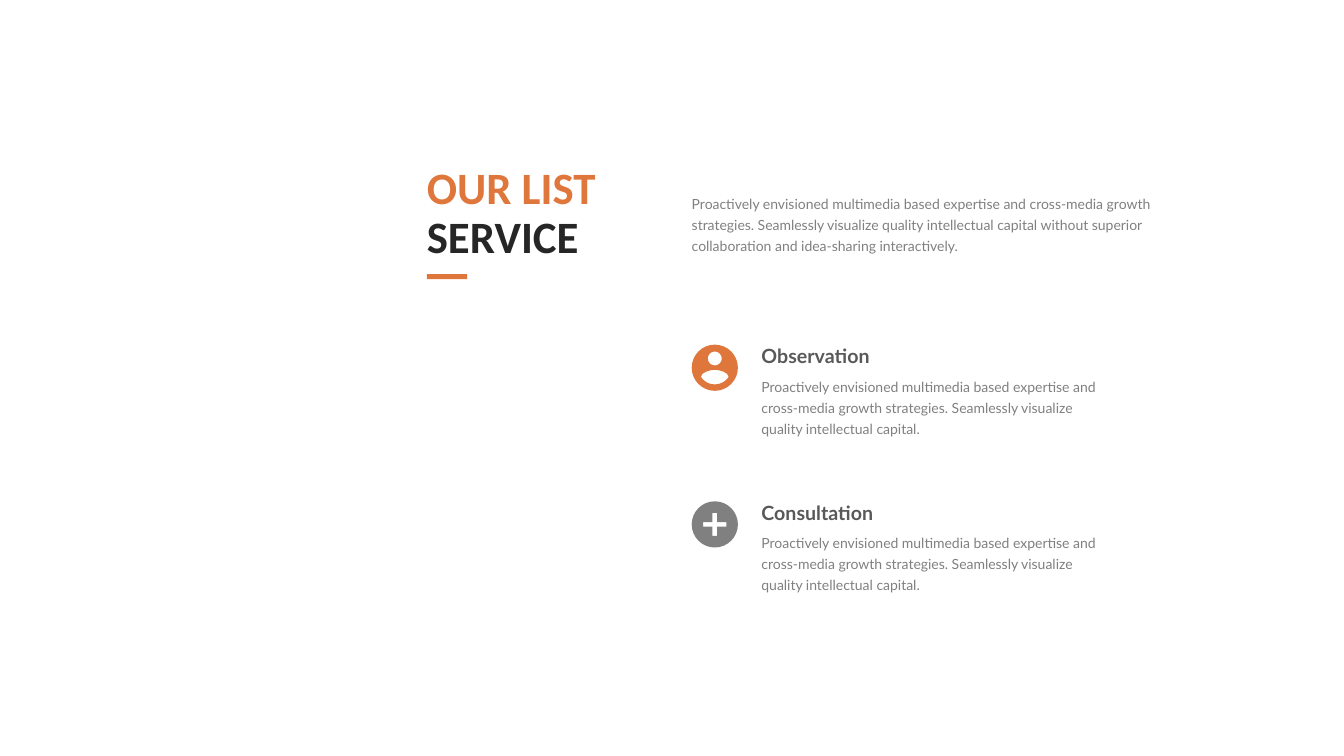
from dataclasses import dataclass

from lxml import etree
from pptx import Presentation
from pptx.dml.color import RGBColor
from pptx.enum.shapes import MSO_SHAPE
from pptx.enum.text import MSO_ANCHOR, MSO_AUTO_SIZE, PP_ALIGN
from pptx.oxml.ns import qn
from pptx.shapes.base import BaseShape
from pptx.shapes.shapetree import GroupShapes, SlideShapes
from pptx.slide import Slide
from pptx.text.text import TextFrame
from pptx.util import Pt

RECTANGLE = MSO_SHAPE.RECTANGLE
TOP, MIDDLE = MSO_ANCHOR.TOP, MSO_ANCHOR.MIDDLE
NO_AUTOFIT = MSO_AUTO_SIZE.NONE
LEFT_ALIGNED = PP_ALIGN.LEFT

Point = tuple[float, float]
Shapes = SlideShapes | GroupShapes


@dataclass(frozen=True)
class Theme:
    accent: RGBColor = RGBColor(0xDF, 0x77, 0x3D)
    dark: RGBColor = RGBColor(0x26, 0x26, 0x26)
    heading: RGBColor = RGBColor(0x59, 0x59, 0x59)
    body: RGBColor = RGBColor(0x80, 0x80, 0x80)
    title_font: str = "Calibri"
    text_font: str = "Lato"
    title_size: float = 32
    heading_size: float = 14
    body_size: float = 10
    title_spacing: float = 35
    body_spacing: float = 15


@dataclass(frozen=True)
class Box:
    left: float
    top: float
    width: float
    height: float


@dataclass(frozen=True)
class Contour:
    points: list[Point]
    curved: bool


@dataclass(frozen=True)
class Service:
    name: str
    description: str
    symbol: list[Contour]
    color: RGBColor


THEME = Theme()
TITLE_LEFT = 304.9
CONTENT_LEFT = 494.1
ICON_RADIUS = 16.5
SERVICE_LEFT = 543.9
SERVICE_WIDTH = 244.8
FIRST_SERVICE_TOP = 246.2
SERVICE_PITCH = 111.9
INTRO = (
    "Proactively envisioned multimedia based expertise and cross-media growth "
    "strategies. Seamlessly visualize quality intellectual capital without superior "
    "collaboration and idea-sharing interactively."
)
DESCRIPTION = (
    "Proactively envisioned multimedia based expertise and cross-media growth "
    "strategies. Seamlessly visualize quality intellectual capital."
)


def quarter_turns(corner: list[Point]) -> list[Point]:
    outline = []
    for _ in range(4):
        outline += corner
        corner = [(-y, x) for x, y in corner]
    return outline


def circle(center_y: float, radius: float) -> Contour:
    handle = 0.55 * radius
    outline = quarter_turns([(radius, 0), (radius, handle), (handle, radius)])
    return Contour([(x, y + center_y) for x, y in [*outline, outline[0]]], True)


def person_symbol() -> list[Contour]:
    right = [(0, 1.5), (3.3, 1.5), (9.9, 3.3), (9.95, 6.6),
             (7.8, 9.8), (4.15, 11.95), (0, 11.95)]
    left = [(-x, y) for x, y in reversed(right[:-1])]
    return [Contour(right + left, True), circle(-6.6, 5)]


def plus_symbol(arm: float = 8.3, half: float = 1.67) -> list[Contour]:
    corner = [(half, -arm), (half, -half), (arm, -half)]
    return [Contour(quarter_turns(corner), False)]


def bend(outline: BaseShape, contours: list[Contour]) -> None:
    starts = list(outline.element.iter(qn("a:moveTo")))
    for start, contour in zip(starts, contours):
        if not contour.curved:
            continue
        steps = list(start.itersiblings())[:len(contour.points) - 1]
        for first in range(0, len(steps), 3):
            curve = etree.Element(qn("a:cubicBezTo"))
            steps[first].addprevious(curve)
            for step in steps[first:first + 3]:
                curve.append(step[0])
                step.getparent().remove(step)


def draw_icon(shapes: Shapes, top: float, service: Service) -> None:
    center_x, center_y = CONTENT_LEFT + ICON_RADIUS, top + ICON_RADIUS
    contours = [*service.symbol, circle(0, ICON_RADIUS)]
    builder = None
    for contour in contours:
        start, *rest = [(Pt(center_x + x), Pt(center_y + y)) for x, y in contour.points]
        if builder is None:
            builder = shapes.build_freeform(*start)
        else:
            builder.move_to(*start)
        builder.add_line_segments(rest)
    icon = builder.convert_to_shape()
    bend(icon, contours)
    paint(icon, service.color)


def paint(shape: BaseShape, color: RGBColor) -> None:
    shape.shadow.inherit = False
    shape.fill.solid()
    shape.fill.fore_color.rgb = color
    shape.line.fill.background()


def format_text(frame: TextFrame, font: str, size: float, colors: list[RGBColor],
                bold: bool = False, spacing: float | None = None) -> None:
    frame.margin_left = frame.margin_right = frame.margin_top = frame.margin_bottom = 0
    frame.word_wrap = True
    frame.auto_size = NO_AUTOFIT
    frame.vertical_anchor = TOP
    for paragraph, color in zip(frame.paragraphs, colors):
        paragraph.alignment = LEFT_ALIGNED
        if spacing:
            paragraph.line_spacing = Pt(spacing)
        for run in paragraph.runs:
            run.font.name = font
            run.font.size = Pt(size)
            run.font.bold = bold
            run.font.color.rgb = color


def add_text(shapes: Shapes, box: Box, text: str) -> TextFrame:
    frame = shapes.add_textbox(
        Pt(box.left), Pt(box.top), Pt(box.width), Pt(box.height)
    ).text_frame
    frame.text = text
    return frame


def add_body(shapes: Shapes, box: Box, text: str) -> None:
    format_text(add_text(shapes, box, text), THEME.text_font, THEME.body_size,
                [THEME.body], spacing=THEME.body_spacing)


def add_title(slide: Slide) -> None:
    title = slide.shapes.title
    title.left, title.top = Pt(TITLE_LEFT), Pt(117.4)
    title.width, title.height = Pt(149), Pt(70.6)
    title.text_frame.text = "OUR LIST\nSERVICE"
    format_text(title.text_frame, THEME.title_font, THEME.title_size,
                [THEME.accent, THEME.dark], bold=True, spacing=THEME.title_spacing)
    title.text_frame.vertical_anchor = MIDDLE
    underline = slide.shapes.add_shape(
        RECTANGLE, Pt(TITLE_LEFT), Pt(195.8), Pt(28.8), Pt(3.6)
    )
    paint(underline, THEME.accent)


def add_service(slide: Slide, top: float, service: Service) -> None:
    shapes = slide.shapes.add_group_shape().shapes
    draw_icon(shapes, top, service)
    heading = add_text(shapes, Box(SERVICE_LEFT, top - 0.2, SERVICE_WIDTH, 17), service.name)
    format_text(heading, THEME.text_font, THEME.heading_size, [THEME.heading], bold=True)
    add_body(shapes, Box(SERVICE_LEFT, top + 20.9, SERVICE_WIDTH, 44), service.description)


def main() -> None:
    presentation = Presentation()
    presentation.slide_width, presentation.slide_height = Pt(960), Pt(540)
    slide = presentation.slides.add_slide(presentation.slide_layouts[5])
    add_title(slide)
    add_body(slide.shapes, Box(CONTENT_LEFT, 136.5, 351.4, 44), INTRO)
    services = [
        Service("Observation", DESCRIPTION, person_symbol(), THEME.accent),
        Service("Consultation", DESCRIPTION, plus_symbol(), THEME.body),
    ]
    for index, service in enumerate(services):
        add_service(slide, FIRST_SERVICE_TOP + index * SERVICE_PITCH, service)
    presentation.save("out.pptx")


if __name__ == "__main__":
    main()
